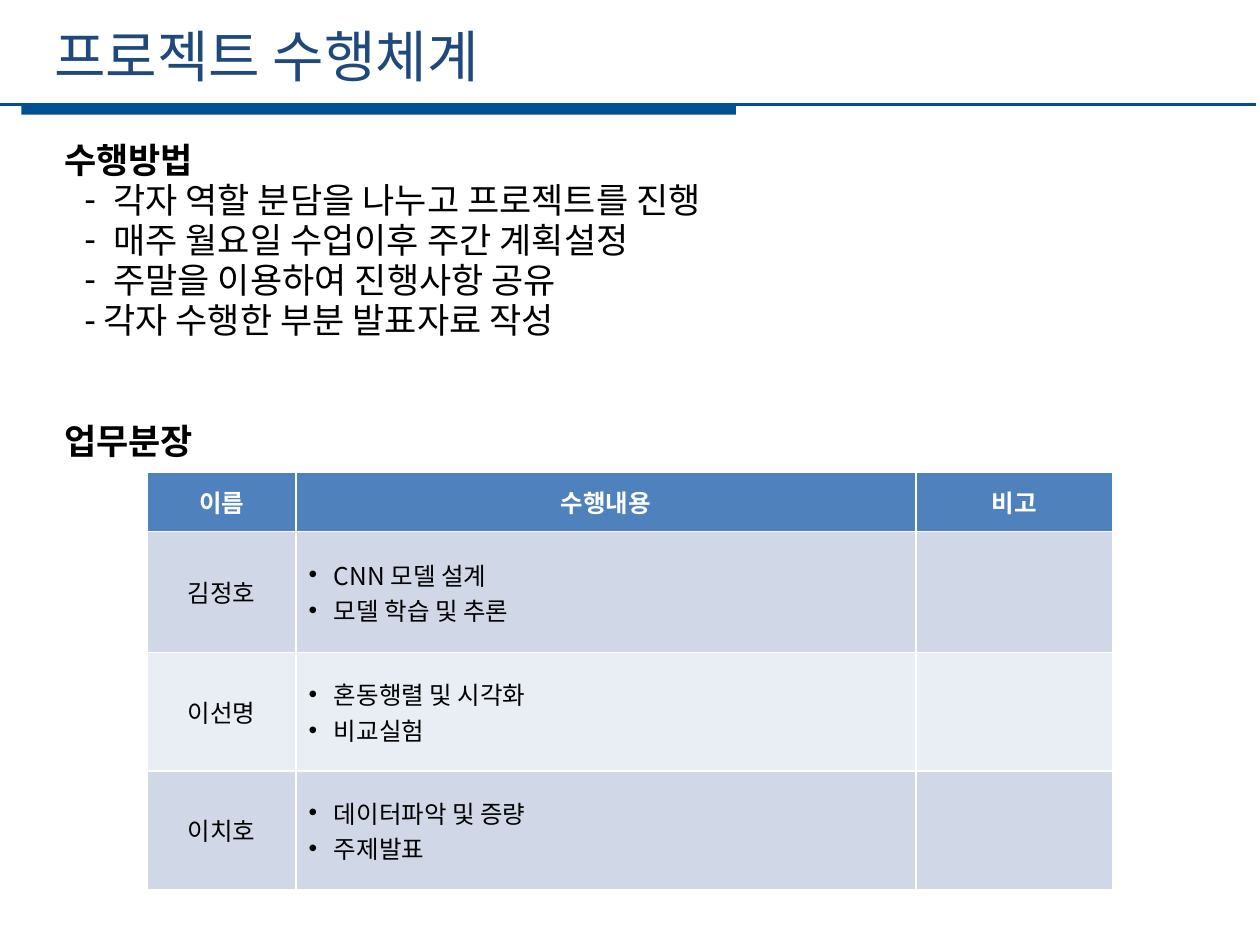
from lxml.etree import SubElement
from pptx import Presentation
from pptx.dml.color import RGBColor as RGB
from pptx.enum.shapes import MSO_CONNECTOR as CONN, MSO_SHAPE as SHAPE
from pptx.enum.text import MSO_ANCHOR as ANCHOR, MSO_AUTO_SIZE as FIT, PP_ALIGN as ALIGN
from pptx.oxml.ns import qn
from pptx.util import Inches, Pt

COLORS = {"title": "1F497D", "rule": "005094", "text": "000000", "header": "4F81BD",
          "header_text": "FFFFFF", "odd": "D0D8E8", "even": "E9EDF4"}
KOREAN = "Noto Sans CJK KR"
METHODS = [("각자 역할 분담을 나누고 프로젝트를 진행", 0.23),
           ("매주 월요일 수업이후 주간 계획설정", 0.23),
           ("주말을 이용하여 진행사항 공유", 0.23),
           ("각자 수행한 부분 발표자료 작성", 0.15)]
HEADERS = ["이름", "수행내용", "비고"]
DUTIES = [("김정호", ["CNN 모델 설계", "모델 학습 및 추론"]),
          ("이선명", ["혼동행렬 및 시각화", "비교실험"]),
          ("이치호", ["데이터파악 및 증량", "주제발표"])]
COL_WIDTHS = [1.18, 4.92, 1.56]
ROW_HEIGHTS = [0.47, 0.96, 0.94, 0.94]


def rgb(name):
    """Return the named palette colour."""
    return RGB.from_string(COLORS[name])


def set_bullet(p, char, margin, hang):
    """Give a paragraph a bullet character, or none, with a hanging indent in inches."""
    pPr = p._p.get_or_add_pPr()
    pPr.set("marL", str(Inches(margin)))
    pPr.set("indent", str(-Inches(hang)))
    if char:
        SubElement(pPr, qn("a:buFont"), typeface="Arial")
        SubElement(pPr, qn("a:buChar"), char=char)
    else:
        SubElement(pPr, qn("a:buNone"))


def write(tf, text, size=14, color="text", bold=False, font=KOREAN, align=ALIGN.LEFT,
          line=None, before=0, bullet=None, margin=0, hang=0):
    """Write a formatted paragraph, filling the first one while it is empty."""
    p = tf.paragraphs[-1]
    if p.runs:
        p = tf.add_paragraph()
    p.alignment, p.space_before = align, Pt(before)
    if line:
        p.line_spacing = Pt(line)
    set_bullet(p, bullet, margin, hang)
    r = p.add_run()
    r.text = text
    r.font.size, r.font.bold, r.font.name = Pt(size), bold, font
    r.font.color.rgb = rgb(color)
    SubElement(r._r.get_or_add_rPr(), qn("a:ea"), typeface=KOREAN)


def place(sp, left, top, width, height, anchor):
    """Move a placeholder and return its text frame."""
    sp.left, sp.top, sp.width, sp.height = map(Inches, (left, top, width, height))
    tf = sp.text_frame
    tf.word_wrap, tf.auto_size, tf.vertical_anchor = True, FIT.NONE, anchor
    return tf


def add_title_rule(s):
    """Draw the thick bar and thin line below the title."""
    y = Inches(0.83)
    bar = s.shapes.add_shape(SHAPE.RECTANGLE, Inches(0.17), y, Inches(5.67), Inches(0.08))
    bar.shadow.inherit = False
    bar.fill.solid()
    bar.fill.fore_color.rgb = rgb("rule")
    bar.line.fill.background()
    rule = s.shapes.add_connector(CONN.STRAIGHT, Inches(-0.03), y, Inches(9.97), y)
    rule.line.color.rgb, rule.line.width = rgb("rule"), Pt(1.25)
    SubElement(rule._element.spPr, qn("a:effectLst"))


def add_body(s):
    """Fill the body with the methods list and the table heading."""
    tf = place(s.placeholders[1], 0.41, 1.06, 9.12, 2.68, ANCHOR.TOP)
    body = {"size": 20, "font": "Arial", "line": 23}
    write(tf, "수행방법", bold=True, **body)
    for text, hang in METHODS:
        write(tf, text, bullet="-", margin=0.16 + hang, hang=hang, **body)
    write(tf, "업무분장", bold=True, before=2 * body["line"], **body)


def add_duties(s):
    """Add the table of people and their duties."""
    table = s.shapes.add_table(len(ROW_HEIGHTS), len(COL_WIDTHS), Inches(1.17), Inches(3.75),
                               Inches(sum(COL_WIDTHS)), Inches(sum(ROW_HEIGHTS))).table
    for column, width in zip(table.columns, COL_WIDTHS):
        column.width = Inches(width)
    for i, (row, height) in enumerate(zip(table.rows, ROW_HEIGHTS)):
        row.height = Inches(height)
        for cell in row.cells:
            cell.vertical_anchor = ANCHOR.MIDDLE
            cell.fill.solid()
            cell.fill.fore_color.rgb = rgb("header" if i == 0 else "odd" if i % 2 else "even")
    for j, text in enumerate(HEADERS):
        write(table.cell(0, j).text_frame, text, color="header_text", bold=True, align=ALIGN.CENTER)
    for i, (name, tasks) in enumerate(DUTIES, 1):
        write(table.cell(i, 0).text_frame, name, align=ALIGN.CENTER)
        for task in tasks:
            write(table.cell(i, 1).text_frame, task, bullet="•", margin=0.2, hang=0.2)


def main():
    """Build and save the slide."""
    prs = Presentation()
    prs.slide_width, prs.slide_height = Inches(10), Inches(7.5)
    s = prs.slides.add_slide(prs.slide_layouts[1])
    add_title_rule(s)
    title = place(s.shapes.title, 0.33, 0.12, 8.96, 0.64, ANCHOR.MIDDLE)
    write(title, "프로젝트 수행체계", size=32, color="title")
    add_body(s)
    add_duties(s)
    prs.save("out.pptx")


if __name__ == "__main__":
    main()
